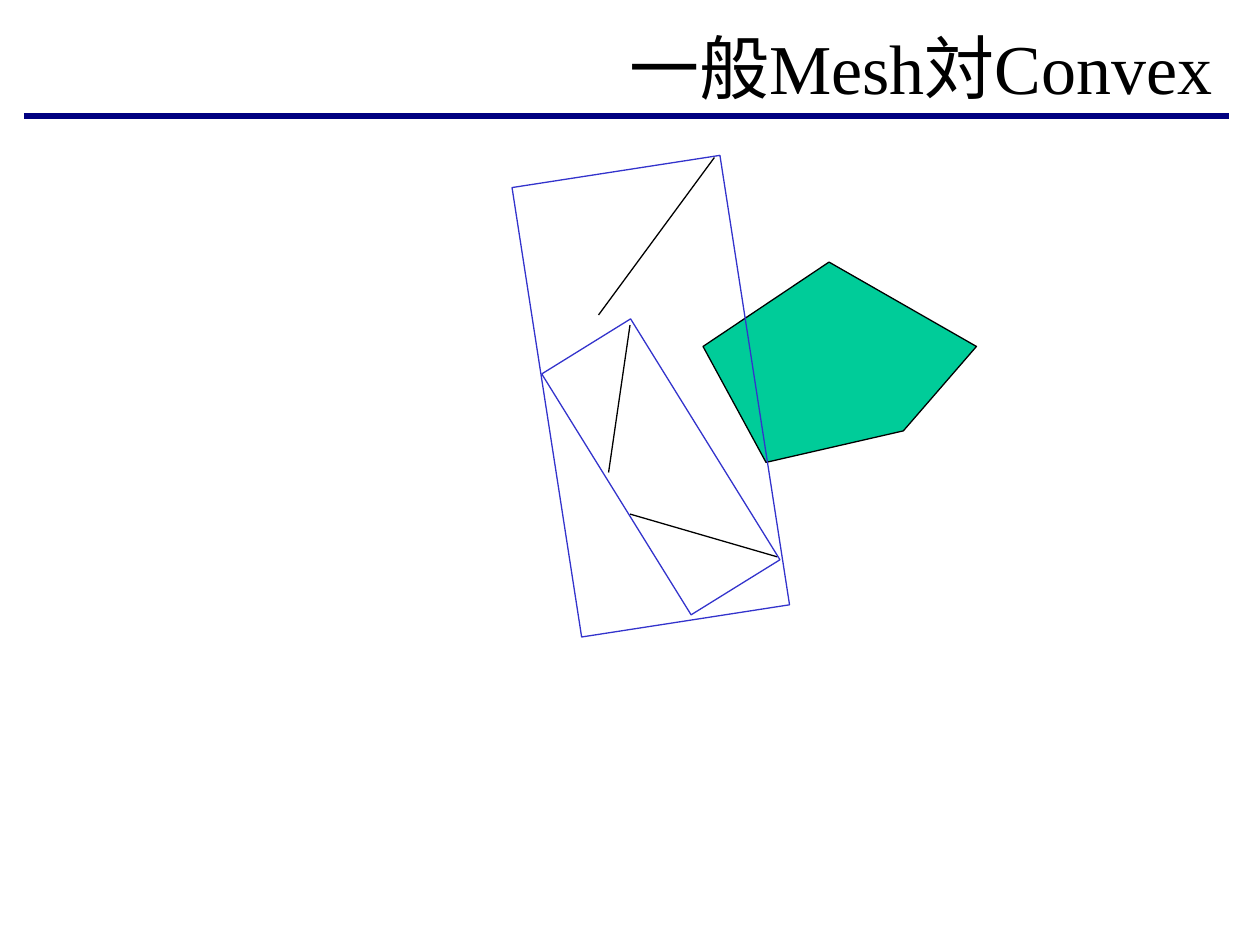
from lxml.etree import SubElement
from pptx import Presentation
from pptx.dml.color import RGBColor
from pptx.enum.shapes import MSO_CONNECTOR, MSO_SHAPE
from pptx.enum.text import MSO_ANCHOR, PP_ALIGN
from pptx.oxml.ns import qn
from pptx.util import Inches, Pt

BLACK = RGBColor(0x00, 0x00, 0x00)
NAVY = RGBColor(0x00, 0x00, 0x80)
BLUE = RGBColor(0x33, 0x33, 0xCC)
GREEN = RGBColor(0x00, 0xCC, 0x99)

# Content, in inches
TITLE = "一般Mesh対Convex"
TITLE_RULE = ((0.19, 0.92), (9.75, 0.92))
CONVEX_POINTS = [(6.58, 2.08), (5.58, 2.75), (6.08, 3.67), (7.17, 3.42), (7.75, 2.75)]
MESH_EDGES = [
    ((5.67, 1.25), (4.75, 2.5)),
    ((5, 4.08), (6.17, 4.42)),
    ((5, 2.58), (4.83, 3.75)),
]
BOUNDING_BOXES = [  # left, top, width, height, rotation
    (4.83, 2.58, 0.83, 2.25, 328.2),
    (4.33, 1.34, 1.67, 3.61, 351.2),
]

presentation = Presentation()
presentation.slide_width = Inches(10)
presentation.slide_height = Inches(7.5)
slide = presentation.slides.add_slide(presentation.slide_layouts[6])


def style_line(shape, color, width=0.75):
    shape.line.color.rgb = color
    shape.line.width = Pt(width)


def add_line(start, end, color, width=0.75):
    ends = [Inches(value) for value in (*start, *end)]
    connector = slide.shapes.add_connector(MSO_CONNECTOR.STRAIGHT, *ends)
    style_line(connector, color, width)
    SubElement(connector._element.spPr, qn("a:effectLst"))


# Title and the rule under it
add_line(*TITLE_RULE, NAVY, 3)
title_box = slide.shapes.add_textbox(Inches(1.02), Inches(0.17), Inches(8.7), Inches(0.72))
text_frame = title_box.text_frame
text_frame.word_wrap = True
text_frame.vertical_anchor = MSO_ANCHOR.MIDDLE
text_frame.text = TITLE
paragraph = text_frame.paragraphs[0]
paragraph.alignment = PP_ALIGN.RIGHT
font = paragraph.runs[0].font
font.name = "Times New Roman"
font.size = Pt(40)
font.color.rgb = BLACK

# Convex polygon
points = [(Inches(x), Inches(y)) for x, y in CONVEX_POINTS]
builder = slide.shapes.build_freeform(*points[0])
builder.add_line_segments(points[1:], close=True)
convex = builder.convert_to_shape()
convex.shadow.inherit = False
convex.fill.solid()
convex.fill.fore_color.rgb = GREEN
style_line(convex, BLACK)

# Mesh edges
for start, end in MESH_EDGES:
    add_line(start, end, BLACK)

# Oriented bounding boxes around the edges
for *frame, rotation in BOUNDING_BOXES:
    box = slide.shapes.add_shape(MSO_SHAPE.RECTANGLE, *[Inches(value) for value in frame])
    box.rotation = rotation
    box.shadow.inherit = False
    box.fill.background()
    style_line(box, BLUE)

presentation.save("out.pptx")
